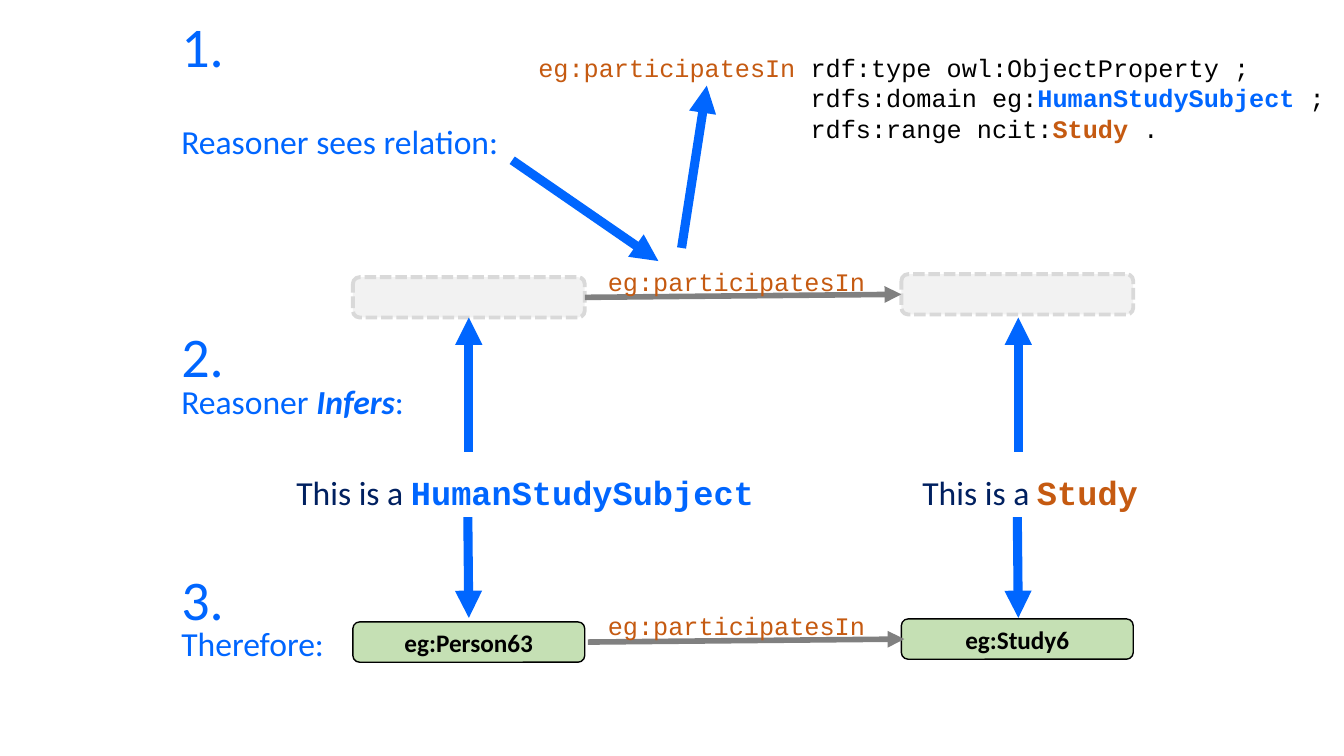
from lxml import etree
from pptx import Presentation
from pptx import util as u
from pptx.dml.color import RGBColor
from pptx.enum import dml, shapes, text
from pptx.oxml.ns import qn

BLUE = RGBColor(0x00, 0x66, 0xFF)
NAVY = RGBColor(0x00, 0x20, 0x60)
ORANGE = RGBColor(0xC5, 0x5A, 0x11)
BLACK = RGBColor(0x00, 0x00, 0x00)
GRAY = RGBColor(0x80, 0x80, 0x80)
PALE = RGBColor(0xF2, 0xF2, 0xF2)
SILVER = RGBColor(0xD9, 0xD9, 0xD9)
GREEN = RGBColor(0xC5, 0xE0, 0xB4)
SANS, MONO = "Calibri", "Courier New"


def write(tf, size, lines):
    for i, runs in enumerate(lines):
        p = tf.paragraphs[0] if i == 0 else tf.add_paragraph()
        for words, font, color, style in runs:
            r = p.add_run()
            r.text = words
            r.font.name = font
            r.font.size = u.Pt(size)
            r.font.color.rgb = color
            r.font.bold = "b" in style
            r.font.italic = "i" in style


def add_arrow(start, end, color, width):
    points = [u.Inches(n) for n in start + end]
    c = s.shapes.add_connector(shapes.MSO_CONNECTOR.STRAIGHT, *points)
    c.line.color.rgb = color
    c.line.width = u.Pt(width)
    tail = etree.SubElement(c.line._get_or_add_ln(), qn("a:tailEnd"))
    tail.set("type", "triangle")
    etree.SubElement(c._element.spPr, qn("a:effectLst"))
    return c


prs = Presentation()
prs.slide_width, prs.slide_height = u.Inches(13.33), u.Inches(7.5)
s = prs.slides.add_slide(prs.slide_layouts[6])

boxes = []
for x, y, label in [
    (3.5, 2.75, ""),
    (8.94, 2.72, ""),
    (3.5, 6.17, "eg:Person63"),
    (8.94, 6.14, "eg:Study6"),
]:
    sp = s.shapes.add_shape(shapes.MSO_SHAPE.ROUNDED_RECTANGLE,
                            u.Inches(x), u.Inches(y), u.Inches(2.3), u.Inches(0.4))
    sp.shadow.inherit = False
    sp.fill.solid()
    sp.fill.fore_color.rgb = GREEN if label else PALE
    sp.line.color.rgb = BLACK if label else SILVER
    sp.line.width = u.Pt(1 if label else 2.75)
    if label:
        tf = sp.text_frame
        tf.vertical_anchor = text.MSO_ANCHOR.MIDDLE
        write(tf, 18, [[(label, SANS, BLACK, "b")]])
        tf.paragraphs[0].alignment = text.PP_ALIGN.CENTER
    else:
        sp.line.dash_style = dml.MSO_LINE.SQUARE_DOT
    boxes.append(sp)

relation = add_arrow((5.8, 2.95), (8.94, 2.92), GRAY, 4)
relation.begin_connect(boxes[0], 3)
relation.end_connect(boxes[1], 1)
add_arrow((5.83, 6.37), (8.97, 6.34), GRAY, 4)

add_arrow((5.08, 1.59), (6.53, 2.59), BLUE, 6.5)
add_arrow((6.76, 2.46), (7.01, 0.85), BLUE, 6.5)
for x in (4.65, 10.1):
    up = add_arrow((x, 4.48), (x, 3.15), BLUE, 6.5)
    if x == 4.65:
        up.end_connect(boxes[0], 2)
    add_arrow((x - 0.01, 5.13), (x, 6.13), BLUE, 6.5)

predicate = [[("eg:participatesIn", MONO, ORANGE, "")]]
definition = [
    [("eg:participatesIn ", MONO, ORANGE, ""),
     ("rdf:type owl:ObjectProperty ;", MONO, BLACK, "")],
    [("                  rdfs:domain eg:", MONO, BLACK, ""),
     ("HumanStudySubject", MONO, BLUE, "b"), (" ;", MONO, BLACK, "")],
    [("                  rdfs:range ncit:", MONO, BLACK, ""),
     ("Study", MONO, ORANGE, "b"), (" .", MONO, BLACK, "")],
]
this_is = ("This is a ", SANS, NAVY, "")

for x, y, w, h, size, wrap, lines in [
    (1.7, 0.07, 0.72, 0.77, 40, True, [[("1.", SANS, BLUE, "")]]),
    (1.7, 1.15, 3.38, 0.5, 24, False, [[("Reasoner sees relation:", SANS, BLUE, "")]]),
    (5.24, 0.47, 8.19, 1.31, 18, True, definition),
    (5.93, 2.59, 3.14, 0.4, 18, True, predicate),
    (1.7, 3.14, 0.72, 0.77, 40, True, [[("2.", SANS, BLUE, "")]]),
    (1.7, 3.73, 2.41, 0.5, 24, False,
     [[("Reasoner ", SANS, BLUE, ""), ("Infers", SANS, BLUE, "bi"), (":", SANS, BLUE, "")]]),
    (2.84, 4.63, 4.78, 0.5, 24, False,
     [[this_is, ("HumanStudySubject", MONO, BLUE, "b")]]),
    (9.05, 4.63, 2.36, 0.5, 24, False, [[this_is, ("Study", MONO, ORANGE, "b")]]),
    (1.7, 5.55, 0.72, 0.77, 40, True, [[("3.", SANS, BLUE, "")]]),
    (1.7, 6.13, 1.63, 0.5, 24, False, [[("Therefore:", SANS, BLUE, "")]]),
    (5.93, 6.01, 3.14, 0.4, 18, True, predicate),
]:
    tf = s.shapes.add_textbox(u.Inches(x), u.Inches(y), u.Inches(w), u.Inches(h)).text_frame
    tf.word_wrap = wrap
    tf.auto_size = text.MSO_AUTO_SIZE.SHAPE_TO_FIT_TEXT
    write(tf, size, lines)

prs.save("out.pptx")
